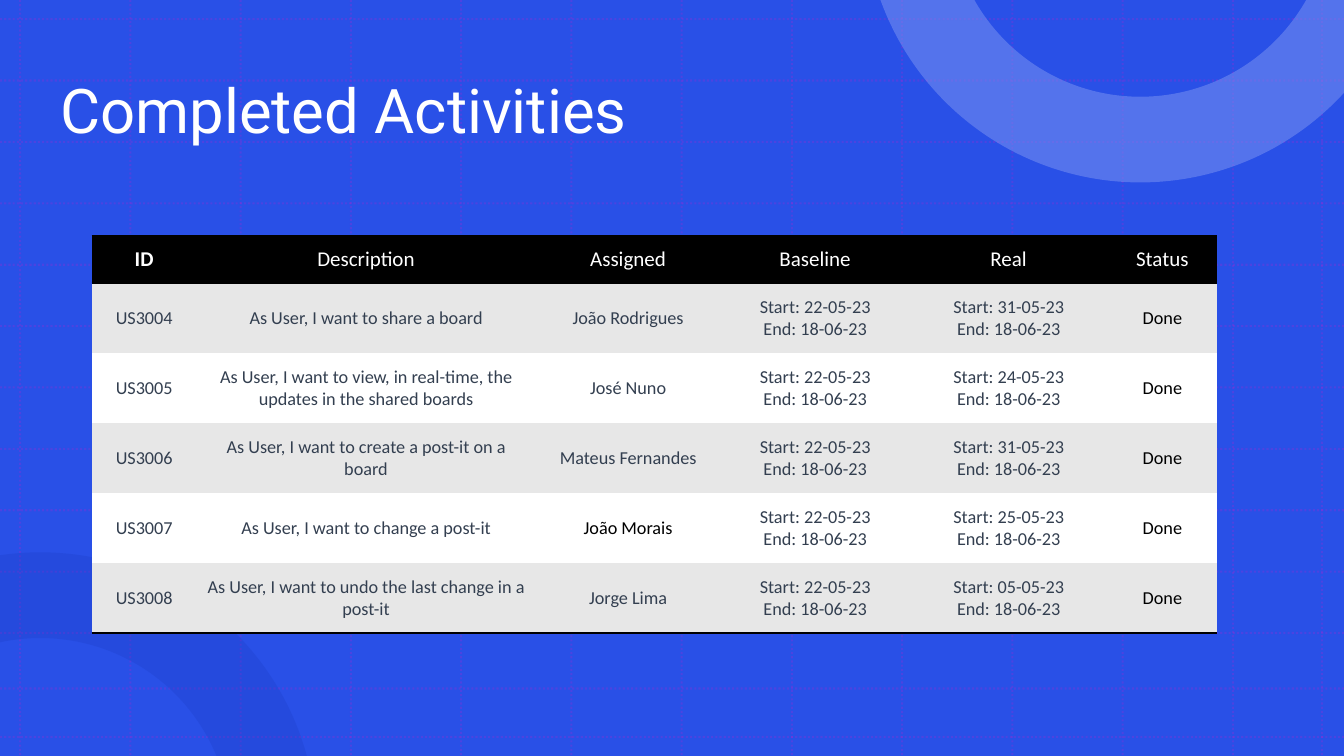
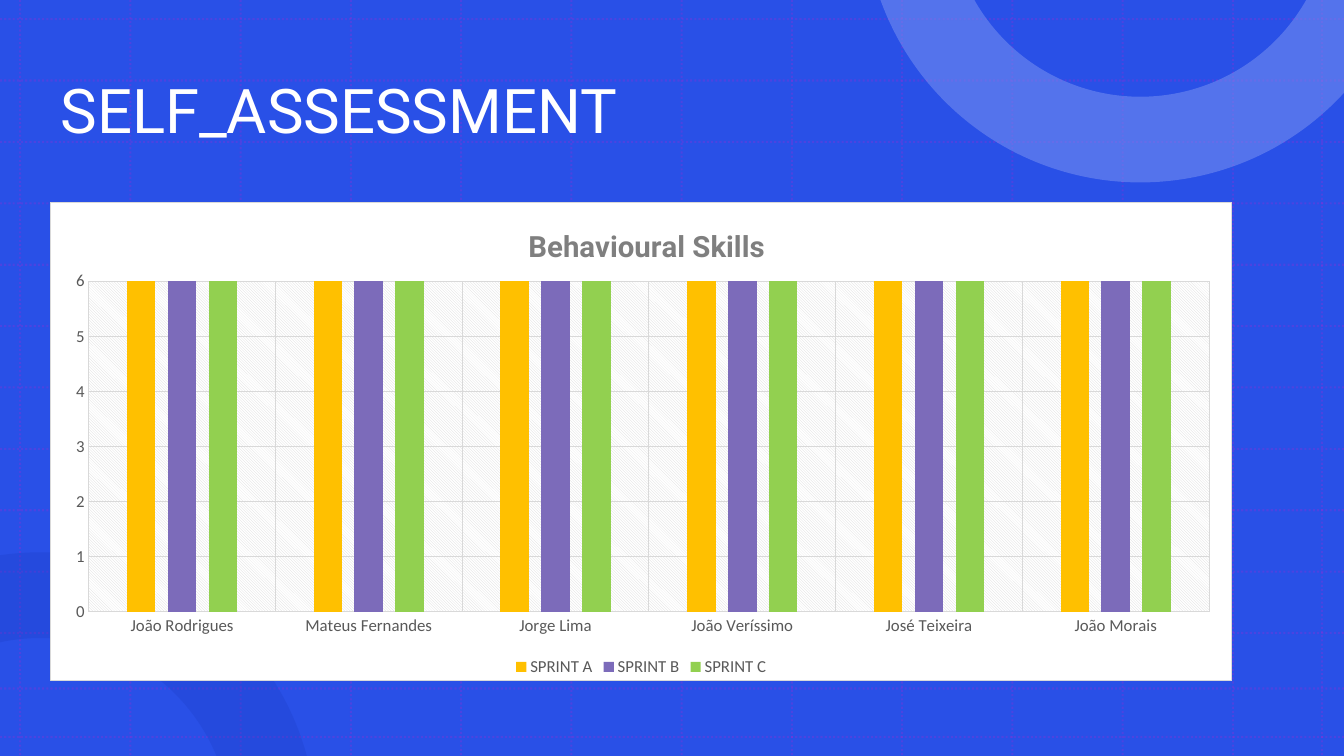
import math
import pptx
import pptx.util
import pptx.dml.color
import pptx.chart.data
import pptx.enum.chart
import pptx.enum.dml
import pptx.enum.shapes
import pptx.enum.text
import pptx.oxml
import pptx.oxml.ns

HUES = dict(back="2950E7", grid="D517CC", dark="1536B7", pale="7F96F1",
            white="FFFFFF", black="000000", band="E7E7E7", ink="333F50",
            rule="D9D9D9", label="595959", head="7F7F7F")
WIDE, HIGH = 13.33, 7.5
COLS = [0.2 + 1.0935 * n for n in range(12)] + [13.11]
ROWS = [0.19 + 0.609 * n for n in range(11)] + [6.83, 7.31]
OUTER, INNER = 2.74, 1.89
RINGS = [
    dict(mid=(0.4, 8.22), outer=(-98.4, -90, -15.24), edge=[],
         inner=(-22.4, -90, -102.2), hue="dark", alpha=20),
    dict(mid=(11.31, -0.93), outer=(160.16, 90, 42.5), edge=[(WIDE, 0)],
         inner=(29.48, 90, 150.52), hue="pale", alpha=50),
]

TITLES = ["Completed Activities", "SELF_ASSESSMENT"]
HEADS = ["ID", "Description", "Assigned", "Baseline", "Real", "Status"]
FIRST, LAST = "22-05-23", "18-06-23"
TASKS = [
    ("US3004", "As User, I want to share a board", "João Rodrigues", "31-05-23"),
    ("US3005", "As User, I want to view, in real-time, the updates in the shared boards",
     "José Nuno", "24-05-23"),
    ("US3006", "As User, I want to create a post-it on a board", "Mateus Fernandes", "31-05-23"),
    ("US3007", "As User, I want to change a post-it", "João Morais", "25-05-23"),
    ("US3008", "As User, I want to undo the last change in a post-it", "Jorge Lima", "05-05-23"),
]
SPANS = [1.04, 3.36, 1.84, 1.87, 1.97, 1.08]
TOP, FULL = 0.47, 3.94
TALL = [TOP] + [(FULL - TOP) / len(TASKS)] * len(TASKS)
NAMES = ["João Rodrigues", "Mateus Fernandes", "Jorge Lima",
         "João Veríssimo", "José Teixeira", "João Morais"]
SPRINTS = [("SPRINT A", "FFC000"), ("SPRINT B", "7C6BBA"), ("SPRINT C", "92D050")]
SCORE = 6
PLOT = dict(x=0.032, y=0.165, w=0.949, h=0.691)
NAME = dict(x=0.4, y=0.04)

inch, pt = pptx.util.Inches, pptx.util.Pt
ALIGN = pptx.enum.text.PP_ALIGN
qn = pptx.oxml.ns.qn


def rgb(hue):
    return pptx.dml.color.RGBColor.from_string(HUES.get(hue, hue))


def xml(tag, body="", attrs=""):
    space = pptx.oxml.ns.nsdecls("a", "c")
    return pptx.oxml.parse_xml(f"<{tag} {space} {attrs}>{body}</{tag}>")


def solid(hue):
    return f'<a:solidFill><a:srgbClr val="{HUES[hue]}"/></a:solidFill>'


def fade(part, share):
    for tint in part.iter(qn("a:srgbClr")):
        tint.append(xml("a:alpha", attrs=f'val="{share * 1000}"'))


def style(font, size, hue, face="Calibri", bold=False):
    font.size, font.name, font.bold = pt(size), face, bold
    font.color.rgb = rgb(hue)


def say(frame, text, size=13, hue="ink", face="Calibri", bold=False,
        align=ALIGN.CENTER, space=None):
    frame.text = text
    for para in frame.paragraphs:
        para.alignment = align
        if space:
            para.line_spacing = space
        for run in para.runs:
            style(run.font, size, hue, face, bold)


def rule(group, x1, y1, x2, y2):
    line = group.shapes.add_connector(
        pptx.enum.shapes.MSO_CONNECTOR.STRAIGHT, inch(x1), inch(y1), inch(x2), inch(y2))
    line.line.color.rgb = rgb("grid")
    line.line.width = pt(1.5)
    line.line.dash_style = pptx.enum.dml.MSO_LINE.ROUND_DOT
    fade(line.element, 20)
    line.element.spPr.append(xml("a:effectLst"))


def dots(mid, size, turns):
    spots = [(t, math.radians(t)) for t in turns]
    return [(mid[0] + size * math.cos(r), mid[1] + size * math.sin(r)) for t, r in spots]


def bends(size, turns):
    reach = inch(size)
    return [xml("a:arcTo", attrs=f'wR="{reach}" hR="{reach}" stAng="{round(a % 360 * 60000)}" '
                                 f'swAng="{round((b - a) * 60000)}"')
            for a, b in zip(turns, turns[1:])]


def ring(slide, mid, outer, edge, inner, hue, alpha):
    spots = dots(mid, OUTER, outer) + edge + dots(mid, INNER, inner)
    spots = [(inch(x), inch(y)) for x, y in spots]
    pen = slide.shapes.build_freeform(*spots[0])
    pen.add_line_segments(spots[1:], close=True)
    shape = pen.convert_to_shape()
    legs = list(shape.element.iter(qn("a:lnTo")))
    for leg, bend in zip(legs[:2] + legs[-2:], bends(OUTER, outer) + bends(INNER, inner)):
        leg.getparent().replace(leg, bend)
    shape.shadow.inherit = False
    shape.fill.solid()
    shape.fill.fore_color.rgb = rgb(hue)
    shape.line.fill.background()
    fade(shape.element.spPr, alpha)


def dress(layout, slide):
    sheet = slide.shapes.add_shape(pptx.enum.shapes.MSO_SHAPE.RECTANGLE,
                                   0, 0, inch(WIDE), inch(HIGH))
    sheet.shadow.inherit = False
    sheet.fill.solid()
    sheet.fill.fore_color.rgb = rgb("back")
    sheet.line.fill.background()
    group = slide.shapes.add_group_shape()
    for x in COLS:
        rule(group, x, 0, x, HIGH)
    for y in ROWS:
        rule(group, 0, y, WIDE, y)
    for part in RINGS:
        ring(slide, **part)
    for shape in list(slide.shapes):
        if not shape.is_placeholder:
            layout.shapes.element.append(shape.element)


def border(cell, *sides):
    props = cell._tc.get_or_add_tcPr()
    for spot, side in enumerate(sides):
        props.insert(spot, xml(f"a:ln{side}", solid("black"), 'w="25400"'))


def tasks(slide):
    frame = slide.shapes.add_table(len(TALL), len(SPANS), inch(0.91), inch(2.34),
                                   inch(sum(SPANS)), inch(FULL))
    table = frame.table
    table.horz_banding = False
    key = table._tbl.tblPr.find(qn("a:tableStyleId"))
    key.text = "{2D5ABB26-0587-4C30-8999-92F81FD0307C}"
    for col, wide in zip(table.columns, SPANS):
        col.width = inch(wide)
    for row, high in zip(table.rows, TALL):
        row.height = inch(high)
    grid = [HEADS]
    for code, text, who, start in TASKS:
        dates = [f"Start: {day}\nEnd: {LAST}" for day in (FIRST, start)]
        grid.append([code, text, who, *dates, "Done"])
    for r, row in enumerate(grid):
        for c, text in enumerate(row):
            cell = table.cell(r, c)
            cell.vertical_anchor = pptx.enum.text.MSO_ANCHOR.MIDDLE
            cell.fill.solid()
            if r == 0:
                cell.fill.fore_color.rgb = rgb("black")
                say(cell.text_frame, text, size=15, hue="white", bold=c == 0)
                border(cell, "T", "B")
            else:
                cell.fill.fore_color.rgb = rgb("band" if r % 2 else "white")
                say(cell.text_frame, text,
                    hue="black" if text in ("Done", "João Morais") else "ink")
            if r == len(TASKS):
                border(cell, "B")


def place(part, spot, modes, sizes):
    for old in part.findall(qn("c:layout")):
        part.remove(old)
    body = modes + '<c:xMode val="edge"/><c:yMode val="edge"/>'
    body += "".join(f'<c:{k} val="{v}"/>' for k, v in sizes.items())
    part.insert(spot, xml("c:layout", f"<c:manualLayout>{body}</c:manualLayout>"))


def skills(slide):
    data = pptx.chart.data.CategoryChartData()
    data.categories = NAMES
    for name, hue in SPRINTS:
        data.add_series(name, [SCORE] * len(NAMES))
    chart = slide.shapes.add_chart(
        pptx.enum.chart.XL_CHART_TYPE.COLUMN_CLUSTERED,
        inch(0.5), inch(2), inch(11.72), inch(4.76), data).chart
    style(chart.font, 10, "black")
    chart.has_title = True
    say(chart.chart_title.text_frame, "Behavioural Skills", size=21, hue="head",
        face="Roboto", bold=True)
    chart.chart_title.include_in_layout = False
    chart.has_legend = True
    chart.legend.position = pptx.enum.chart.XL_LEGEND_POSITION.BOTTOM
    chart.legend.include_in_layout = False
    style(chart.legend.font, 12, "label")
    for axis in (chart.category_axis, chart.value_axis):
        axis.major_tick_mark = pptx.enum.chart.XL_TICK_MARK.NONE
        axis.has_major_gridlines = True
        for line in (axis.format.line, axis.major_gridlines.format.line):
            line.color.rgb = rgb("rule")
            line.width = pt(0.75)
        style(axis.tick_labels.font, 12, "label")
    axis.format.line.fill.background()
    axis.maximum_scale = SCORE
    plot = chart.plots[0]
    plot.gap_width, plot.overlap, plot.vary_by_categories = 267, -43, False
    for bars, (name, hue) in zip(plot.series, SPRINTS):
        bars.format.fill.solid()
        bars.format.fill.fore_color.rgb = rgb(hue)
    root = chart.element
    root.chart.addnext(xml("c:spPr", solid("white") + f'<a:ln w="9525">{solid("rule")}</a:ln>'))
    area = root.chart.plotArea
    place(area, 0, '<c:layoutTarget val="inner"/>', PLOT)
    place(root.chart.find(qn("c:title")), 1, "", NAME)
    tints = "".join(f'<a:{k}><a:srgbClr val="{HUES[v]}"/></a:{k}>'
                    for k, v in (("fgClr", "rule"), ("bgClr", "white")))
    area.append(xml("c:spPr", f'<a:pattFill prst="ltDnDiag">{tints}</a:pattFill>'))


deck = pptx.Presentation()
deck.slide_width, deck.slide_height = inch(WIDE), inch(HIGH)
base = deck.slide_layouts.get_by_name("Title Only")
for hold in list(base.placeholders)[1:]:
    hold.element.getparent().remove(hold.element)
for title, fill in zip(TITLES, (tasks, skills)):
    slide = deck.slides.add_slide(base)
    if fill is tasks:
        dress(base, slide)
    head = slide.shapes.title
    head.left, head.top, head.width, head.height = map(inch, (0.5, 0.4, 11.73, 1.45))
    head.text_frame.vertical_anchor = pptx.enum.text.MSO_ANCHOR.MIDDLE
    say(head.text_frame, title, size=44, hue="white", face="Roboto",
        align=ALIGN.LEFT, space=0.9)
    fill(slide)
deck.save("out.pptx")
